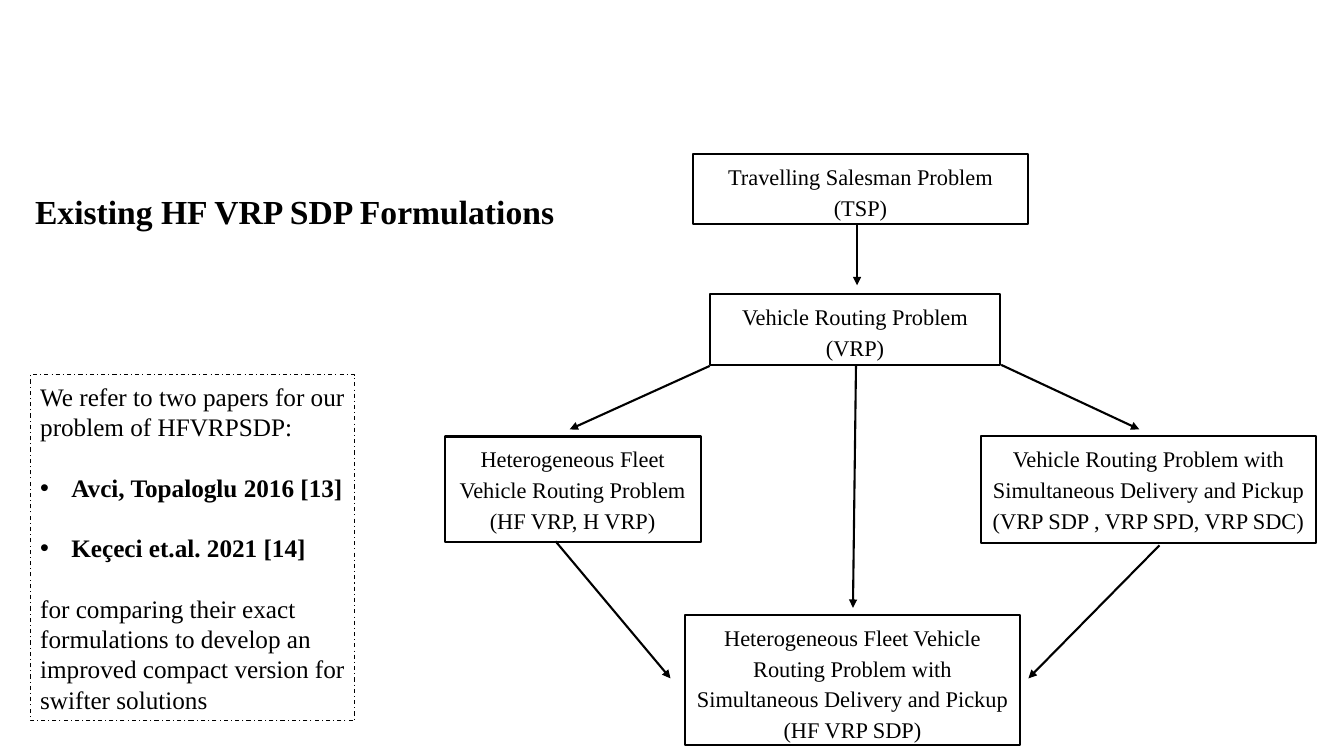
from dataclasses import dataclass

from lxml import etree
from pptx import Presentation
from pptx.dml.color import RGBColor
from pptx.enum.dml import MSO_LINE
from pptx.enum.shapes import MSO_CONNECTOR, MSO_SHAPE
from pptx.enum.text import MSO_ANCHOR, MSO_AUTO_SIZE, PP_ALIGN
from pptx.oxml.ns import qn
from pptx.util import Inches, Pt

RECT = MSO_SHAPE.RECTANGLE
STRAIGHT = MSO_CONNECTOR.STRAIGHT
DASH_DOT = MSO_LINE.DASH_DOT
TOP, MIDDLE = MSO_ANCHOR.TOP, MSO_ANCHOR.MIDDLE
LEFT, CENTER, JUSTIFY = PP_ALIGN.LEFT, PP_ALIGN.CENTER, PP_ALIGN.JUSTIFY
FIT_SHAPE = MSO_AUTO_SIZE.SHAPE_TO_FIT_TEXT


@dataclass(frozen=True)
class Theme:
    font: str = "Times New Roman"
    ink: RGBColor = RGBColor(0, 0, 0)
    paper: RGBColor = RGBColor(255, 255, 255)
    title: float = 24
    note: float = 18
    problem: float = 16
    line: float = 1.5
    note_line: float = 0.75


@dataclass(frozen=True)
class Box:
    left: float
    top: float
    width: float
    height: float
    text: str = ""


@dataclass(frozen=True)
class Arrow:
    x1: float
    y1: float
    x2: float
    y2: float


@dataclass(frozen=True)
class Note:
    text: str
    bullet: bool = False
    before: float = 21.6


THEME = Theme()

TITLE = Box(0.25, 1.64, 5.53, 0.71, "Existing HF VRP SDP Formulations")
NOTE_BOX = Box(0.3, 3.72, 3.22, 3.43)

NOTES = [
    Note("We refer to two papers for our problem of HFVRPSDP:", before=0),
    Note("Avci, Topaloglu 2016 [13]", bullet=True),
    Note("Keçeci et.al. 2021 [14]", bullet=True),
    Note("for comparing their exact formulations to develop an improved "
         "compact version for swifter solutions"),
]

PROBLEMS = [
    Box(7.04, 2.92, 2.88, 0.7, "Vehicle Routing Problem (VRP)"),
    Box(6.87, 1.53, 3.33, 0.69, "Travelling Salesman Problem (TSP)"),
    Box(4.41, 4.33, 2.54, 1.05,
        "Heterogeneous Fleet Vehicle Routing Problem (HF VRP, H VRP)"),
    Box(9.73, 4.33, 3.32, 1.06,
        "Vehicle Routing Problem with Simultaneous Delivery and Pickup "
        "(VRP SDP , VRP SPD, VRP SDC)"),
    Box(6.79, 6.1, 3.33, 1.29,
        "Heterogeneous Fleet Vehicle Routing Problem with "
        "Simultaneous Delivery and Pickup (HF VRP SDP)"),
]

ARROWS = [
    Arrow(8.5, 2.22, 8.5, 2.83),
    Arrow(8.49, 3.63, 8.46, 6.03),
    Arrow(7.04, 3.63, 5.65, 4.26),
    Arrow(9.93, 3.62, 11.3, 4.26),
    Arrow(5.51, 5.37, 6.65, 6.73),
    Arrow(11.5, 5.41, 10.2, 6.73),
]


def frame(b: Box) -> tuple:
    return tuple(Inches(v) for v in (b.left, b.top, b.width, b.height))


def write(p, text: str, *, size: float, bold: bool = False, align=LEFT,
          spacing: float = 1.0, before: float = 0, after: float = 0,
          bullet: bool = False) -> None:
    if bullet:
        pPr = p._p.get_or_add_pPr()
        pPr.set("marL", str(Inches(0.31)))
        pPr.set("indent", str(-Inches(0.31)))
        etree.SubElement(pPr, qn("a:buFont"), typeface="Arial")
        etree.SubElement(pPr, qn("a:buChar"), char="•")
    p.alignment = align
    p.line_spacing = spacing
    p.space_before, p.space_after = Pt(before), Pt(after)
    r = p.add_run()
    r.text = text
    r.font.name, r.font.size, r.font.bold = THEME.font, Pt(size), bold
    r.font.color.rgb = THEME.ink


def add_box(s, b: Box, *, width: float, filled: bool = True, anchor=TOP):
    sp = s.shapes.add_shape(RECT, *frame(b))
    sp.shadow.inherit = False
    if filled:
        sp.fill.solid()
        sp.fill.fore_color.rgb = THEME.paper
    else:
        sp.fill.background()
    sp.line.color.rgb = THEME.ink
    sp.line.width = Pt(width)
    sp.text_frame.word_wrap = True
    sp.text_frame.vertical_anchor = anchor
    return sp


def add_problem(s, b: Box) -> None:
    sp = add_box(s, b, width=THEME.line)
    write(sp.text_frame.paragraphs[0], b.text, size=THEME.problem,
          align=CENTER, spacing=1.15, after=10)


def add_arrow(s, a: Arrow) -> None:
    cx = s.shapes.add_connector(
        STRAIGHT, *(Inches(v) for v in (a.x1, a.y1, a.x2, a.y2)))
    cx.line.color.rgb = THEME.ink
    cx.line.width = Pt(THEME.line)
    etree.SubElement(cx.line._get_or_add_ln(), qn("a:tailEnd"), type="triangle")
    etree.SubElement(cx._element.spPr, qn("a:effectLst"))


def add_title(s, b: Box) -> None:
    tf = s.shapes.add_textbox(*frame(b)).text_frame
    tf.word_wrap = False
    tf.auto_size = FIT_SHAPE
    write(tf.paragraphs[0], b.text, size=THEME.title, bold=True,
          align=JUSTIFY, spacing=1.5, after=10)


def add_notes(s, b: Box, notes: list[Note]) -> None:
    sp = add_box(s, b, width=THEME.note_line, filled=False, anchor=MIDDLE)
    sp.line.dash_style = DASH_DOT
    tf = sp.text_frame
    tf.auto_size = FIT_SHAPE
    for i, note in enumerate(notes):
        p = tf.add_paragraph() if i else tf.paragraphs[0]
        write(p, note.text, size=THEME.note, bold=note.bullet,
              before=note.before, bullet=note.bullet)


def main() -> None:
    prs = Presentation()
    prs.slide_width, prs.slide_height = Inches(13.33), Inches(7.5)
    s = prs.slides.add_slide(prs.slide_layouts[6])
    for problem in PROBLEMS:
        add_problem(s, problem)
    for arrow in ARROWS:
        add_arrow(s, arrow)
    add_title(s, TITLE)
    add_notes(s, NOTE_BOX, NOTES)
    prs.save("out.pptx")


if __name__ == "__main__":
    main()
